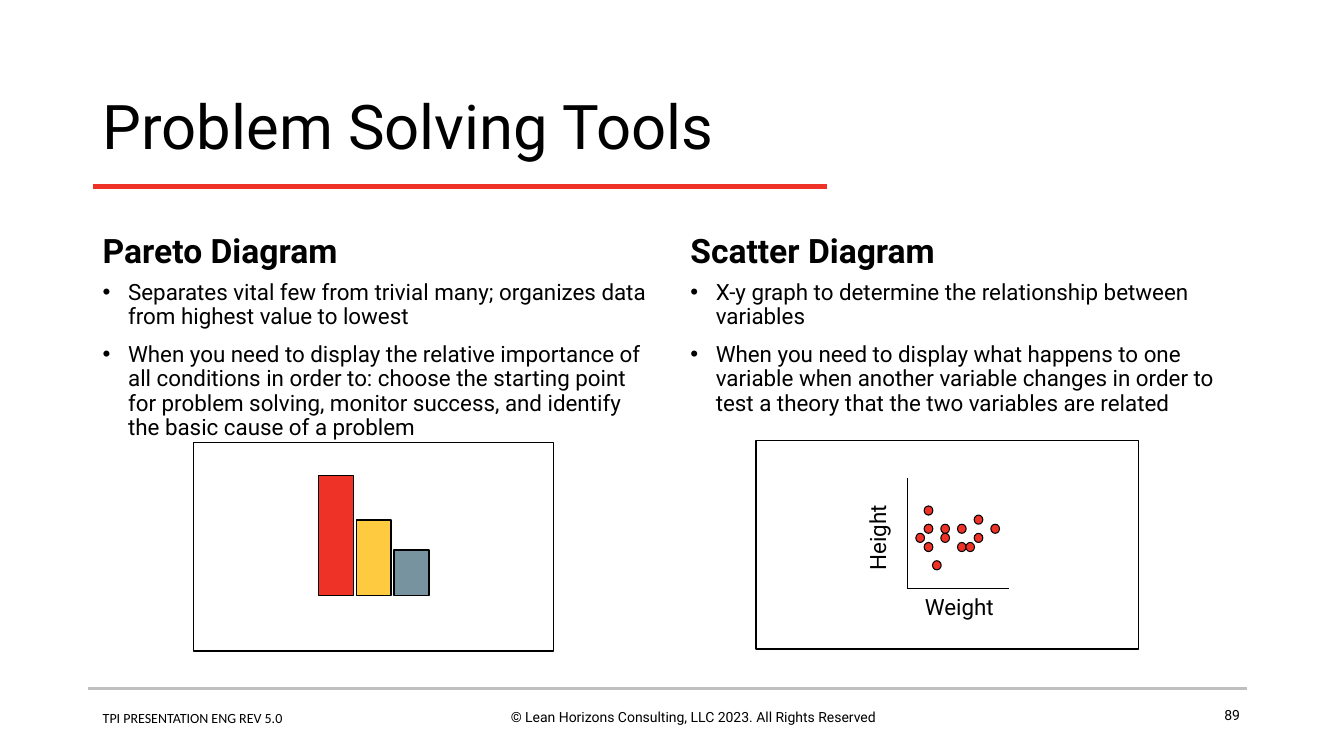
"""Build the problem solving tools slide with Pareto and scatter sketches."""
from dataclasses import dataclass

from lxml.etree import SubElement
from pptx import Presentation
from pptx.dml.color import RGBColor
from pptx.enum.shapes import MSO_CONNECTOR as Connector, MSO_SHAPE as Shape
from pptx.enum.text import MSO_ANCHOR as Anchor, PP_ALIGN as Align
from pptx.oxml.ns import qn
from pptx.slide import Slide
from pptx.util import Cm, Pt

BLACK = RGBColor(0x00, 0x00, 0x00)
WHITE = RGBColor(0xFF, 0xFF, 0xFF)
RED = RGBColor(0xEE, 0x32, 0x28)
YELLOW = RGBColor(0xFD, 0xCA, 0x40)
SLATE = RGBColor(0x76, 0x93, 0x9F)
GREY = RGBColor(0xBF, 0xBF, 0xBF)


@dataclass(frozen=True)
class Label:
    left: float
    top: float
    width: float
    height: float
    lines: tuple[str, ...]
    size: int
    font: str = "Roboto"
    bold: bool = False
    align: Align = Align.LEFT
    anchor: Anchor = Anchor.TOP
    spacing: float = 1.0
    bullet: bool = False
    rotation: int = 0
    wrap: bool = True


@dataclass(frozen=True)
class Block:
    left: float
    top: float
    width: float
    height: float
    fill: RGBColor
    kind: Shape = Shape.RECTANGLE
    weight: float = 1


@dataclass(frozen=True)
class Rule:
    start: tuple[float, float]
    end: tuple[float, float]
    color: RGBColor
    weight: float


@dataclass(frozen=True)
class Tool:
    left: float
    width: float
    name: str
    points: tuple[str, ...]


TOOLS = (
    Tool(2.34, 14.33, "Pareto Diagram", (
        "Separates vital few from trivial many; organizes data from highest value to lowest",
        "When you need to display the relative importance of all conditions in order to: "
        "choose the starting point for problem solving, monitor success, and identify "
        "the basic cause of a problem",
    )),
    Tool(17.15, 14.4, "Scatter Diagram", (
        "X-y graph to determine the relationship between variables",
        "When you need to display what happens to one variable when another variable "
        "changes in order to test a theory that the two variables are related",
    )),
)

RULES = (
    Rule((2.21, 17.35), (31.42, 17.35), GREY, 2),
    Rule((2.34, 4.7), (20.83, 4.7), RED, 3),
)
LABELS = (
    Label(11.68, 17.73, 11.58, 1.12,
          ("© Lean Horizons Consulting, LLC 2023. All Rights Reserved",), 10, align=Align.CENTER),
    Label(2.34, 17.75, 11.58, 1.12, ("TPI PRESENTATION ENG REV 5.0",), 10, font="Calibri"),
    Label(23.88, 17.73, 7.62, 0.91, ("89",), 10, align=Align.RIGHT, spacing=0.9),
    Label(2.34, 1.85, 29.21, 2.84, ("Problem Solving Tools",), 44,
          anchor=Anchor.MIDDLE, spacing=0.9),
)

PARETO_FRAME = Block(4.88, 11.15, 9.07, 5.26, WHITE)
BARS = ((3.02, RED), (1.9, YELLOW), (1.14, SLATE))
BAR_LEFT, BAR_STEP, BAR_WIDTH, BAR_BASE = 8.03, 0.95, 0.88, 15.0

SCATTER_FRAME = Block(19.05, 11.1, 9.65, 5.26, WHITE)
AXES = (
    Rule((22.86, 12.04), (22.86, 14.83), BLACK, 0.75),
    Rule((22.86, 14.83), (25.43, 14.83), BLACK, 0.75),
)
AXIS_LABELS = (
    Label(20.98, 13.03, 2.26, 0.94, ("Height",), 16, rotation=270),
    Label(23.06, 14.83, 2.29, 0.94, ("Weight",), 16, wrap=False),
)
DOT_CELLS = ((0, 3), (1, 0), (2, 6), (1, 2), (1, 4), (3, 3), (3, 2),
             (5, 2), (5, 4), (6, 4), (7, 1), (7, 3), (9, 2))
DOT_LEFT, DOT_TOP, DOT_STEP_X, DOT_STEP_Y = 23.08, 12.75, 0.21, 0.23
DOT_WIDTH, DOT_HEIGHT = 0.22, 0.23


def add_label(slide: Slide, label: Label) -> None:
    box = slide.shapes.add_textbox(
        Cm(label.left), Cm(label.top), Cm(label.width), Cm(label.height))
    box.rotation = label.rotation
    frame = box.text_frame
    frame.word_wrap = label.wrap
    frame.vertical_anchor = label.anchor
    font_format = {"name": label.font, "size": Pt(label.size), "bold": label.bold}
    for index, line in enumerate(label.lines):
        para = frame.add_paragraph() if index else frame.paragraphs[0]
        if label.bullet:
            properties = para._p.get_or_add_pPr()
            properties.set("marL", str(Cm(0.64)))
            properties.set("indent", str(-Cm(0.64)))
            SubElement(properties, qn("a:buFont"), typeface="Arial")
            SubElement(properties, qn("a:buChar"), char="•")
        para_format = {"alignment": label.align, "line_spacing": label.spacing,
                       "space_before": Pt(10 if index else 0)}
        for name, value in para_format.items():
            setattr(para, name, value)
        span = para.add_run()
        span.text = line
        for name, value in font_format.items():
            setattr(span.font, name, value)
        span.font.color.rgb = BLACK


def add_block(slide: Slide, block: Block) -> None:
    shape = slide.shapes.add_shape(
        block.kind, Cm(block.left), Cm(block.top), Cm(block.width), Cm(block.height))
    shape.shadow.inherit = False
    shape.fill.solid()
    shape.fill.fore_color.rgb = block.fill
    shape.line.color.rgb = BLACK
    shape.line.width = Pt(block.weight)


def add_rule(slide: Slide, rule: Rule) -> None:
    ends = (Cm(value) for value in rule.start + rule.end)
    line = slide.shapes.add_connector(Connector.STRAIGHT, *ends)
    line.line.color.rgb = rule.color
    line.line.width = Pt(rule.weight)
    SubElement(line._element.spPr, qn("a:effectLst"))


def add_tool(slide: Slide, tool: Tool) -> None:
    add_label(slide, Label(tool.left, 4.67, tool.width, 2.29, (tool.name,), 24,
                           bold=True, anchor=Anchor.BOTTOM, spacing=0.9))
    add_label(slide, Label(tool.left, 6.96, tool.width, 10.24, tool.points, 16,
                           spacing=0.9, bullet=True))


def add_pareto(slide: Slide) -> None:
    add_block(slide, PARETO_FRAME)
    for index, (height, fill) in enumerate(BARS):
        add_block(slide, Block(BAR_LEFT + index * BAR_STEP, BAR_BASE - height,
                               BAR_WIDTH, height, fill))


def add_scatter(slide: Slide) -> None:
    add_block(slide, SCATTER_FRAME)
    for axis in AXES:
        add_rule(slide, axis)
    for column, row in DOT_CELLS:
        add_block(slide, Block(DOT_LEFT + column * DOT_STEP_X, DOT_TOP + row * DOT_STEP_Y,
                               DOT_WIDTH, DOT_HEIGHT, RED, Shape.OVAL, 0.75))
    for label in AXIS_LABELS:
        add_label(slide, label)


def main() -> None:
    deck = Presentation()
    deck.slide_width, deck.slide_height = Cm(33.87), Cm(19.05)
    slide = deck.slides.add_slide(deck.slide_layouts[6])
    for rule in RULES:
        add_rule(slide, rule)
    for label in LABELS:
        add_label(slide, label)
    for tool in TOOLS:
        add_tool(slide, tool)
    add_pareto(slide)
    add_scatter(slide)
    deck.save("out.pptx")


if __name__ == "__main__":
    main()
